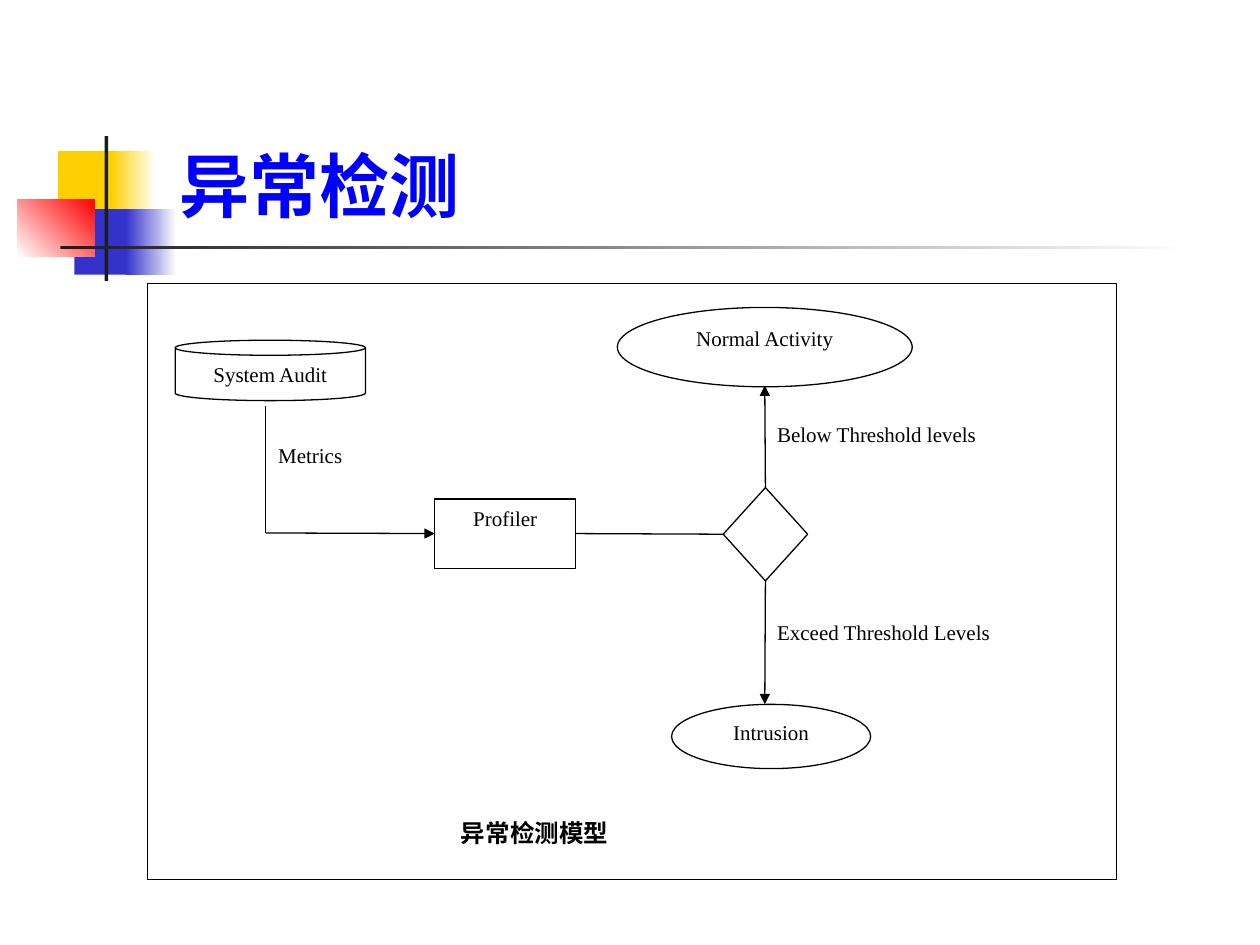
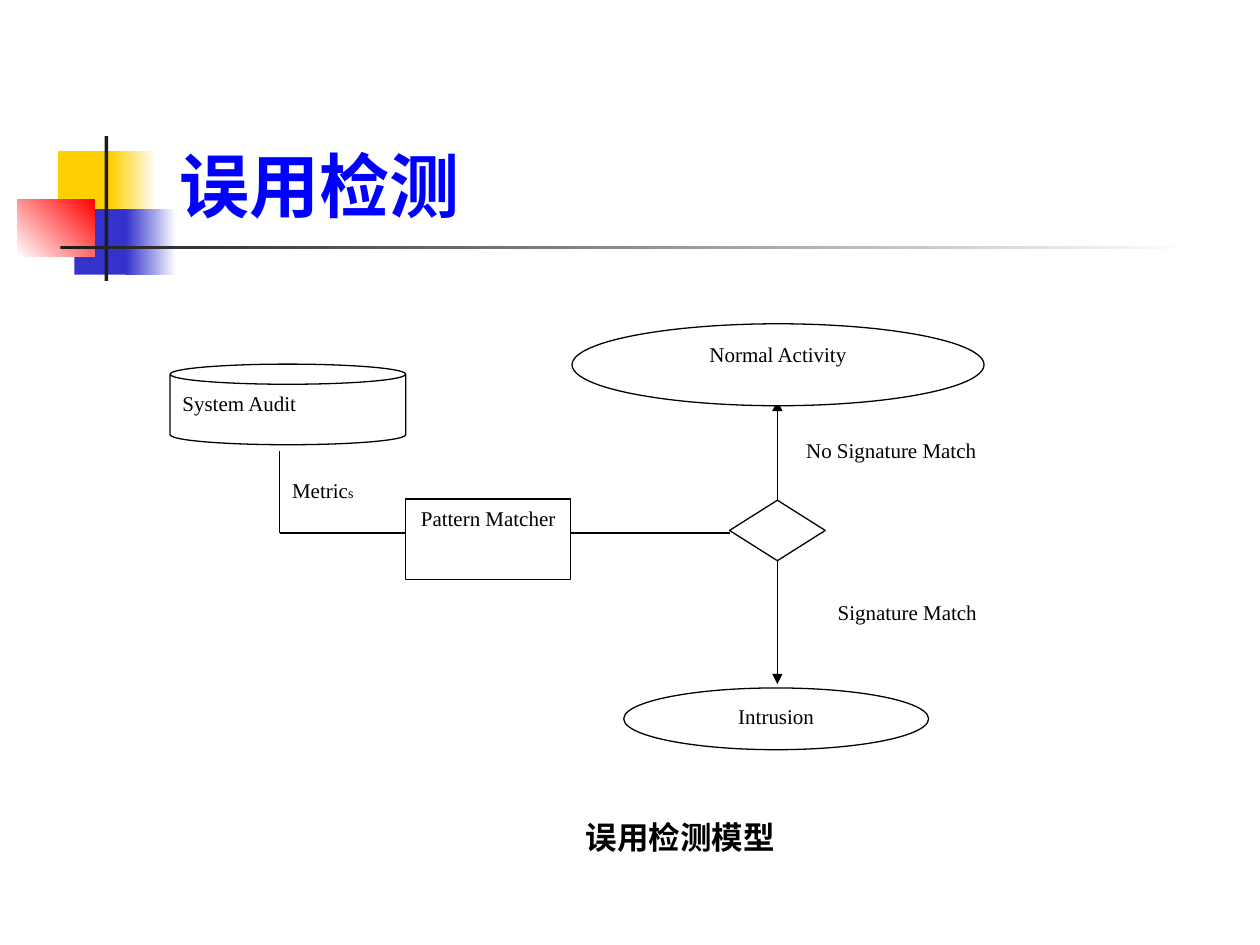
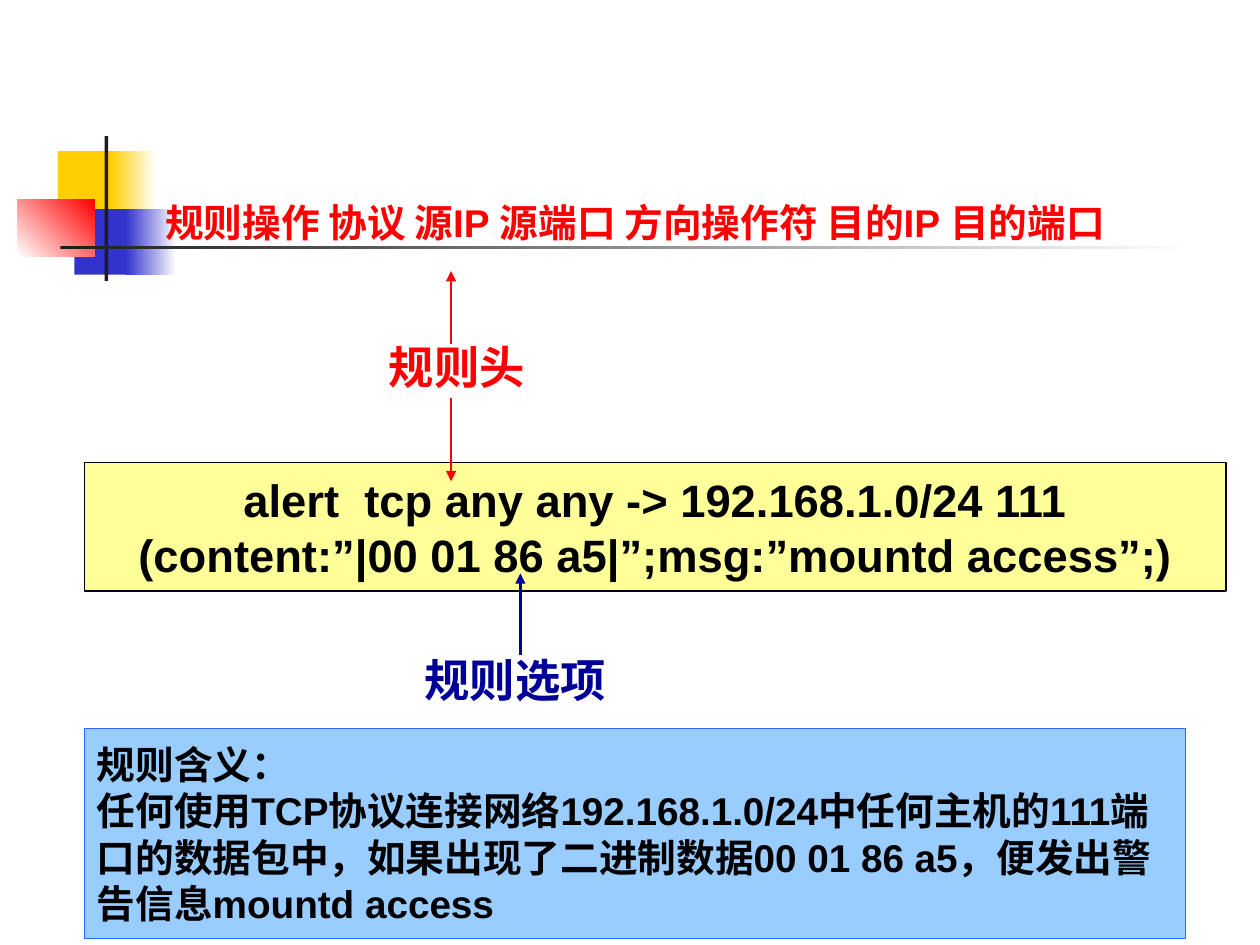
from dataclasses import dataclass
from lxml.etree import SubElement
from pptx import Presentation
from pptx.dml.color import RGBColor
from pptx.enum.shapes import MSO_CONNECTOR, MSO_SHAPE
from pptx.enum.text import MSO_ANCHOR, PP_ALIGN
from pptx.oxml.ns import qn
from pptx.util import Inches, Pt

TOP, LEFT, BOTTOM, RIGHT = range(4)


@dataclass(frozen=True)
class Theme:
    white: str = "FFFFFF"
    black: str = "000000"
    ink: str = "1C1C1C"
    yellow: str = "FFCF01"
    indigo: str = "3333CC"
    red: str = "FF0000"
    title_blue: str = "0000FF"
    navy: str = "000099"
    rule_fill: str = "FFFF99"
    meaning_fill: str = "99CCFF"
    meaning_edge: str = "3366FF"
    title_font: str = "Cabin"
    diagram_font: str = "Times New Roman"
    rule_font: str = "Arial"
    title_size: float = 40
    rule_size: float = 25.9
    meaning_size: float = 22.1
    model_size: float = 18
    caption_size: float = 14
    node_size: float = 12
    small_size: float = 8
    thin: float = 0.75
    thick: float = 1.5


class Deck:
    def __init__(self, theme):
        self.theme = theme
        self.presentation = Presentation()
        self.presentation.slide_width = Inches(10)
        self.presentation.slide_height = Inches(7.5)
        self.slide = None

    def new_slide(self):
        self.slide = self.presentation.slides.add_slide(self.presentation.slide_layouts[6])
        self.ornament()

    def ornament(self):
        t = self.theme
        self.shape((0.46, 1.2, 0.48, 0.52), t.yellow)
        self.fade((0.88, 1.2, 0.36, 0.52), t.yellow, t.white)
        self.shape((0.59, 1.66, 0.46, 0.52), t.indigo)
        self.fade((1, 1.66, 0.4, 0.52), t.indigo, t.white)
        self.fade((0.14, 1.58, 0.61, 0.46), t.white, t.red, 45)
        self.shape((0.83, 1.08, 0.03, 1.15), t.ink)
        self.fade((0.48, 1.95, 9, 0.03), t.ink, t.white)

    def shape(self, at, fill, edge=None, kind=MSO_SHAPE.RECTANGLE):
        shape = self.slide.shapes.add_shape(kind, *map(Inches, at))
        shape.shadow.inherit = False
        shape.fill.solid()
        shape.fill.fore_color.rgb = RGBColor.from_string(fill)
        if edge:
            shape.line.color.rgb = RGBColor.from_string(edge)
            shape.line.width = Pt(self.theme.thin)
        else:
            shape.line.fill.background()
        return shape

    def fade(self, at, start, end, angle=0):
        shape = self.shape(at, start)
        shape.fill.gradient()
        shape.fill.gradient_angle = angle
        for stop, color in zip(shape.fill.gradient_stops, (start, end)):
            stop.color.rgb = RGBColor.from_string(color)

    def fill_text(self, shape, paragraphs, size, font, color=None, bold=False,
                  align=PP_ALIGN.CENTER, anchor=MSO_ANCHOR.TOP, wrap=True):
        frame = shape.text_frame
        frame.word_wrap = wrap
        frame.vertical_anchor = anchor
        for number, runs in enumerate(paragraphs):
            paragraph = frame.add_paragraph() if number else frame.paragraphs[0]
            paragraph.alignment = align
            for text, run_size in runs:
                run = paragraph.add_run()
                run.text = text
                run.font.size = Pt(run_size or size)
                run.font.name = font
                run.font.bold = bold
                run.font.color.rgb = RGBColor.from_string(color or self.theme.black)

    def text(self, at, words, size, font, **style):
        box = self.slide.shapes.add_textbox(*map(Inches, at))
        self.fill_text(box, [[(words, None)]], size, font, **style)

    def title(self, words):
        t = self.theme
        self.text((1.33, 1.08, 6.33, 0.77), words, t.title_size, t.title_font,
                  color=t.title_blue, bold=True, align=PP_ALIGN.JUSTIFY)

    def node(self, at, words="", kind=MSO_SHAPE.RECTANGLE, align=PP_ALIGN.CENTER):
        t = self.theme
        node = self.shape(at, t.white, t.black, kind)
        if words:
            self.fill_text(node, [[(words, None)]], t.node_size, t.diagram_font, align=align)
        return node

    def label(self, at, *runs, size=None, bold=False):
        t = self.theme
        self.fill_text(self.shape(at, t.white), [runs], size or t.node_size,
                       t.diagram_font, bold=bold, align=PP_ALIGN.JUSTIFY)

    def line(self, start, end, color=None, width=None, arrow=False, leave=None, reach=None):
        t = self.theme
        line = self.slide.shapes.add_connector(MSO_CONNECTOR.STRAIGHT, *map(Inches, start + end))
        if leave:
            line.begin_connect(*leave)
        if reach:
            line.end_connect(*reach)
        line.line.color.rgb = RGBColor.from_string(color or t.black)
        line.line.width = Pt(width or t.thin)
        properties = line.element.spPr
        if arrow:
            SubElement(properties.find(qn("a:ln")), qn("a:tailEnd"), type="triangle")
        SubElement(properties, qn("a:effectLst"))


def anomaly_slide(deck):
    t = deck.theme
    deck.new_slide()
    deck.title("异常检测")
    deck.node((1.17, 2.25, 7.69, 4.73))
    deck.label((6.07, 3.3, 2.73, 0.45), ("Below Threshold levels", None))
    deck.label((6.07, 4.87, 2.56, 0.53), ("Exceed Threshold Levels", None))
    deck.node((1.39, 2.7, 1.51, 0.48), "System Audit", MSO_SHAPE.CAN)
    deck.label((2.11, 3.46, 1.34, 0.49), ("Metrics", None))
    profiler = deck.node((3.45, 3.96, 1.12, 0.55), "Profiler")
    threshold = deck.node((5.74, 3.87, 0.67, 0.74), kind=MSO_SHAPE.DIAMOND)
    deck.line((2.11, 3.22), (2.11, 4.23))
    deck.line((2.11, 4.23), (3.45, 4.23), arrow=True, reach=(profiler, LEFT))
    deck.line((4.57, 4.23), (5.74, 4.24), leave=(profiler, RIGHT), reach=(threshold, LEFT))
    deck.line((6.07, 4.61), (6.07, 5.59), arrow=True, leave=(threshold, BOTTOM))
    deck.node((5.33, 5.59, 1.58, 0.51), "Intrusion", MSO_SHAPE.OVAL)
    deck.line((6.07, 3.87), (6.07, 3.06), arrow=True, leave=(threshold, TOP))
    deck.node((4.9, 2.44, 2.34, 0.63), "Normal Activity", MSO_SHAPE.OVAL)
    deck.label((3.56, 6.44, 2.01, 0.49), ("异常检测模型", None), size=t.caption_size, bold=True)


def misuse_slide(deck):
    t = deck.theme
    deck.new_slide()
    deck.node((1.35, 2.89, 1.87, 0.64), "System Audit", MSO_SHAPE.CAN, PP_ALIGN.JUSTIFY)
    deck.label((2.22, 3.74, 1.17, 0.32), ("Metric", None), ("s", t.small_size))
    deck.line((2.22, 3.58), (2.22, 4.23))
    deck.line((2.22, 4.23), (3.39, 4.23), arrow=True)
    deck.node((3.22, 3.96, 1.31, 0.64), "Pattern Matcher")
    deck.line((4.53, 4.23), (5.79, 4.23))
    match = deck.node((5.79, 3.97, 0.76, 0.48), kind=MSO_SHAPE.DIAMOND)
    deck.line((6.17, 4.45), (6.17, 5.43), arrow=True, leave=(match, BOTTOM))
    deck.node((4.95, 5.46, 2.42, 0.49), "Intrusion", MSO_SHAPE.OVAL)
    deck.line((6.17, 3.97), (6.17, 3.18), arrow=True, leave=(match, TOP))
    deck.node((4.54, 2.57, 3.27, 0.65), "Normal Activity", MSO_SHAPE.OVAL)
    deck.label((6.3, 3.42, 3.03, 0.48), ("No Signature Match", None))
    deck.label((6.55, 4.71, 2.53, 0.48), ("Signature Match", None))
    deck.text((3.39, 6.44, 4.02, 0.53), "误用检测模型", t.model_size, t.diagram_font, bold=True)
    deck.title("误用检测")


def rule_slide(deck):
    t = deck.theme
    deck.new_slide()
    rule = deck.shape((0.67, 3.67, 9.06, 1.02), t.rule_fill, t.black)
    deck.fill_text(rule, [
        [("alert  tcp any any -> 192.168.1.0/24 111", None)],
        [("(content:”|00 01 86 a5|”;msg:”mountd access”;)", None)],
    ], t.rule_size, t.rule_font, bold=True, anchor=MSO_ANCHOR.MIDDLE, wrap=False)
    deck.line((3.58, 3.16), (3.58, 3.82), t.red, t.thick, arrow=True)
    deck.text((2.64, 2.64, 1.97, 0.54), "规则头", t.rule_size, t.rule_font, color=t.red, bold=True)
    deck.line((4.13, 5.2), (4.13, 4.55), t.navy, t.thick, arrow=True)
    deck.text((2.95, 5.13, 2.28, 0.54), "规则选项", t.rule_size, t.rule_font,
              color=t.navy, bold=True)
    deck.line((3.58, 2.73), (3.58, 2.15), t.red, t.thick, arrow=True)
    deck.text((0.51, 1.53, 9.06, 0.47), "规则操作 协议 源IP 源端口 方向操作符 目的IP 目的端口",
              t.meaning_size, t.rule_font, color=t.red, bold=True)
    meaning = deck.shape((0.67, 5.78, 8.74, 1.67), t.meaning_fill, t.meaning_edge)
    deck.fill_text(meaning, [
        [("规则含义：", None)],
        [("任何使用TCP协议连接网络192.168.1.0/24中任何主机的111端口的数据包中，"
          "如果出现了二进制数据00 01 86 a5，便发出警告信息mountd access", None)],
    ], t.meaning_size, t.rule_font, bold=True, align=PP_ALIGN.LEFT, anchor=MSO_ANCHOR.MIDDLE)


def main():
    deck = Deck(Theme())
    anomaly_slide(deck)
    misuse_slide(deck)
    rule_slide(deck)
    deck.presentation.save("out.pptx")


if __name__ == "__main__":
    main()
